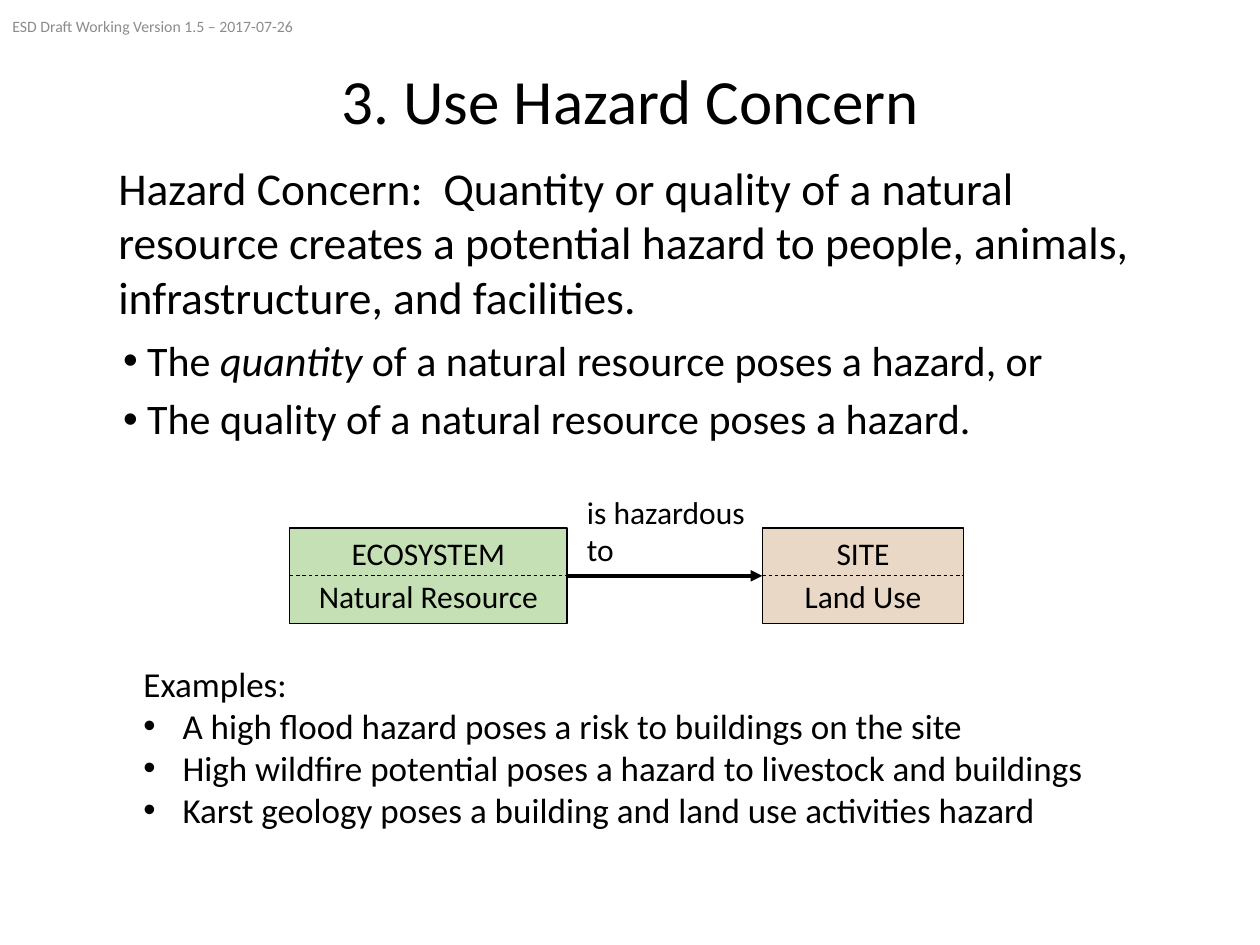
from lxml import etree
from pptx import Presentation
from pptx.dml.color import RGBColor
from pptx.enum import dml, shapes, text
from pptx.oxml import ns
from pptx.util import Inches, Pt

BLACK = RGBColor(0x00, 0x00, 0x00)
GRAY = RGBColor(0x8C, 0x8C, 0x8C)
GREEN = RGBColor(0xC5, 0xE0, 0xB4)
TAN = RGBColor(0xE9, 0xD8, 0xC5)
FONT = "Calibri"
LEFT, CENTER = text.PP_ALIGN.LEFT, text.PP_ALIGN.CENTER
TOP, MIDDLE = text.MSO_ANCHOR.TOP, text.MSO_ANCHOR.MIDDLE

BOX_TOP, BOX_HEIGHT = 4.19, 0.76
MIDLINE = BOX_TOP + BOX_HEIGHT / 2


def add_bullet(para, indent):
    props = para._p.get_or_add_pPr()
    props.set("marL", str(Inches(indent)))
    props.set("indent", str(-Inches(indent)))
    font = etree.SubElement(props, ns.qn("a:buFont"))
    font.set("typeface", "Arial")
    bullet = etree.SubElement(props, ns.qn("a:buChar"))
    bullet.set("char", "•")


def write_para(para, spans, size, color=BLACK, bullet=None, **formats):
    """Fill a paragraph; spans is a string or a list of (words, italic)."""
    if isinstance(spans, str):
        spans = [(spans, False)]
    for name, value in formats.items():
        setattr(para, name, value)
    if bullet:
        add_bullet(para, bullet)
    for words, italic in spans:
        span = para.add_run()
        span.text = words
        span.font.color.rgb = color
        for name, value in {"name": FONT, "size": Pt(size), "italic": italic}.items():
            setattr(span.font, name, value)


def write_frame(frame, paras, anchor=TOP):
    """Write a list of paragraph settings into a text frame."""
    frame.word_wrap = True
    frame.vertical_anchor = anchor
    for index, settings in enumerate(paras):
        para = frame.add_paragraph() if index else frame.paragraphs[0]
        write_para(para, **settings)


def add_text(page, place, paras, anchor=TOP):
    box = page.shapes.add_textbox(*map(Inches, place))
    write_frame(box.text_frame, paras, anchor)


def add_concept(page, left, width, color, heading, detail):
    """Add a filled box with a heading above a detail line."""
    box = page.shapes.add_shape(
        shapes.MSO_SHAPE.RECTANGLE,
        *map(Inches, (left, BOX_TOP, width, BOX_HEIGHT)))
    box.shadow.inherit = False
    box.fill.solid()
    box.fill.fore_color.rgb = color
    box.line.color.rgb = BLACK
    box.line.width = Pt(0.75)
    write_frame(box.text_frame, [
        dict(spans=heading, size=18, alignment=CENTER),
        dict(spans=detail, size=18, alignment=CENTER, space_before=Pt(3))])
    return box


def add_line(page, start, end, weight):
    """Add a level black line at the middle of the boxes."""
    line = page.shapes.add_connector(
        shapes.MSO_CONNECTOR.STRAIGHT,
        *map(Inches, (start, MIDLINE, end, MIDLINE)))
    line.line.color.rgb = BLACK
    line.line.width = Pt(weight)
    etree.SubElement(line._element.spPr, ns.qn("a:effectLst"))
    return line


def add_arrow(page, start_box, end_box):
    start = (start_box.left + start_box.width) / Inches(1)
    arrow = add_line(page, start, end_box.left / Inches(1), 2.25)
    arrow.begin_connect(start_box, 3)
    arrow.end_connect(end_box, 1)
    head = etree.SubElement(arrow.line._get_or_add_ln(), ns.qn("a:tailEnd"))
    head.set("type", "triangle")


def add_diagram(page):
    concepts = [(2.3, 2.2, GREEN, "ECOSYSTEM", "Natural Resource"),
                (6.05, 1.6, TAN, "SITE", "Land Use")]
    boxes = [add_concept(page, *concept) for concept in concepts]
    add_arrow(page, *boxes)
    add_text(page, (4.56, 3.86, 1.55, 0.71),
             [dict(spans="is hazardous to", size=18)])
    # Dashed dividers inside the boxes
    for left, width, *_ in concepts:
        divider = add_line(page, left, left + width, 0.5)
        divider.line.dash_style = dml.MSO_LINE.DASH


def main():
    deck = Presentation()
    deck.slide_width, deck.slide_height = Inches(10), Inches(7.5)
    page = deck.slides.add_slide(deck.slide_layouts[6])

    # Title
    add_text(page, (0.69, 0.4, 8.62, 0.85),
             [dict(spans="3. Use Hazard Concern", size=36,
                   alignment=CENTER, line_spacing=0.9)], MIDDLE)

    # Definition and its two cases
    add_text(page, (0.84, 1.22, 8.32, 1.41), [dict(
        spans="Hazard Concern:  Quantity or quality of a natural resource "
              "creates a potential hazard to people, animals, "
              "infrastructure, and facilities.", size=26)])
    cases = [
        [("The ", False), ("quantity", True),
         (" of a natural resource poses a hazard, or", False)],
        "The quality of a natural resource poses a hazard."]
    add_text(page, (0.88, 2.65, 7.77, 0.93),
             [dict(spans=case, size=24, bullet=0.19, line_spacing=0.9,
                   space_before=Pt(7.5)) for case in cases])

    # Relation between ecosystem and site
    add_diagram(page)

    # Examples
    examples = [
        "A high flood hazard poses a risk to buildings on the site",
        "High wildfire potential poses a hazard to livestock and buildings",
        "Karst geology poses a building and land use activities hazard"]
    add_text(page, (1.04, 5.21, 7.89, 1.45),
             [dict(spans="Examples:", size=20)]
             + [dict(spans=example, size=20, bullet=0.31) for example in examples])

    # Version note
    add_text(page, (0, 0.01, 3.38, 0.4),
             [dict(spans="ESD Draft Working Version 1.5 – 2017-07-26",
                   size=9, color=GRAY, alignment=LEFT)], MIDDLE)

    deck.save("out.pptx")


if __name__ == "__main__":
    main()
